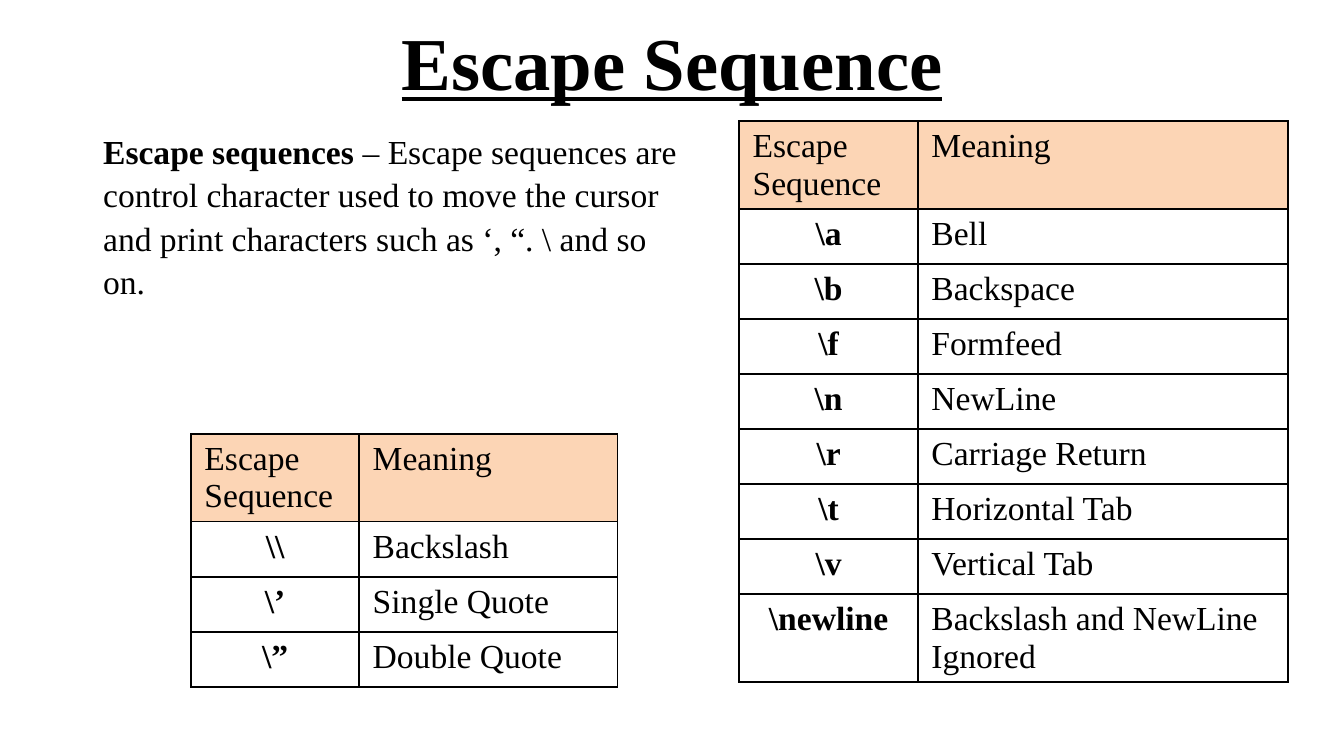
from dataclasses import dataclass

from lxml.etree import SubElement
from pptx import Presentation
from pptx.dml.color import RGBColor
from pptx.enum.text import MSO_ANCHOR, MSO_AUTO_SIZE, PP_ALIGN
from pptx.oxml.ns import qn
from pptx.slide import Slide
from pptx.util import Cm, Pt


@dataclass(frozen=True)
class Theme:
    font: str = "Times New Roman"
    ink: str = "000000"
    head: str = "FCD5B5"
    title: int = 40
    body: int = 18
    rule: int = 1


@dataclass(frozen=True)
class Grid:
    left: float
    top: float
    cols: tuple[float, float]
    rows: tuple[tuple[str, str], ...]
    row: float = 1.04


THEME = Theme()
HEAD = ("Escape Sequence", "Meaning")
CONTROLS = Grid(13.97, 2.29, (3.38, 6.99), (
    (r"\a", "Bell"),
    (r"\b", "Backspace"),
    (r"\f", "Formfeed"),
    (r"\n", "NewLine"),
    (r"\r", "Carriage Return"),
    (r"\t", "Horizontal Tab"),
    (r"\v", "Vertical Tab"),
    (r"\newline", "Backslash and NewLine Ignored"),
))
QUOTES = Grid(3.61, 8.2, (3.18, 4.88), (
    (r"\\", "Backslash"),
    (r"\’", "Single Quote"),
    (r"\”", "Double Quote"),
))


def add_run(para, text: str, size: int = THEME.body, bold: bool = False):
    run = para.add_run()
    run.text = text
    font = run.font
    font.name, font.size, font.bold = THEME.font, Pt(size), bold
    font.color.rgb = RGBColor.from_string(THEME.ink)
    return run


def add_rules(cell) -> None:
    """Line all four sides of a cell; the lines must precede its fill."""
    props = cell._tc.get_or_add_tcPr()
    for spot, side in enumerate(("lnL", "lnR", "lnT", "lnB")):
        line = SubElement(props, qn(f"a:{side}"), w=str(Pt(THEME.rule)))
        fill = SubElement(line, qn("a:solidFill"))
        SubElement(fill, qn("a:srgbClr"), val=THEME.ink)
        props.insert(spot, line)


def add_grid(slide: Slide, grid: Grid) -> None:
    rows = (HEAD, *grid.rows)
    table = slide.shapes.add_table(
        len(rows), len(grid.cols), Cm(grid.left), Cm(grid.top),
        Cm(sum(grid.cols)), Cm(grid.row * len(rows))).table
    table.first_row = table.horz_banding = False
    for col, width in zip(table.columns, grid.cols):
        col.width = Cm(width)
    for r, texts in enumerate(rows):
        table.rows[r].height = Cm(grid.row)
        for c, text in enumerate(texts):
            cell = table.cell(r, c)
            code = r > 0 and c == 0
            para = cell.text_frame.paragraphs[0]
            para.alignment = PP_ALIGN.CENTER if code else PP_ALIGN.LEFT
            add_run(para, text, bold=code)
            if r == 0:
                cell.fill.solid()
                cell.fill.fore_color.rgb = RGBColor.from_string(THEME.head)
            else:
                cell.fill.background()
            add_rules(cell)


def add_title(slide: Slide, text: str) -> None:
    title = slide.shapes.title
    title.left, title.top = Cm(1.27), Cm(-0.05)
    title.width, title.height = Cm(22.86), Cm(2.39)
    frame = title.text_frame
    frame.vertical_anchor = MSO_ANCHOR.MIDDLE
    para = frame.paragraphs[0]
    para.alignment = PP_ALIGN.CENTER
    add_run(para, text, THEME.title, True).font.underline = True


def add_intro(slide: Slide) -> None:
    box = slide.shapes.add_textbox(Cm(1.7), Cm(2.29), Cm(11.43), Cm(3.33))
    frame = box.text_frame
    frame.word_wrap = True
    frame.auto_size = MSO_AUTO_SIZE.SHAPE_TO_FIT_TEXT
    para = frame.paragraphs[0]
    para.line_spacing = 1.08
    add_run(para, "Escape sequences", bold=True)
    add_run(para, " – Escape sequences are control character used to move "
                  "the cursor and print characters such as ‘, “. \\ and so on.")


def main() -> None:
    deck = Presentation()
    deck.slide_width, deck.slide_height = Cm(25.4), Cm(14.29)
    slide = deck.slides.add_slide(deck.slide_layouts[5])
    add_title(slide, "Escape Sequence")
    for grid in (CONTROLS, QUOTES):
        add_grid(slide, grid)
    add_intro(slide)
    deck.save("out.pptx")


if __name__ == "__main__":
    main()
